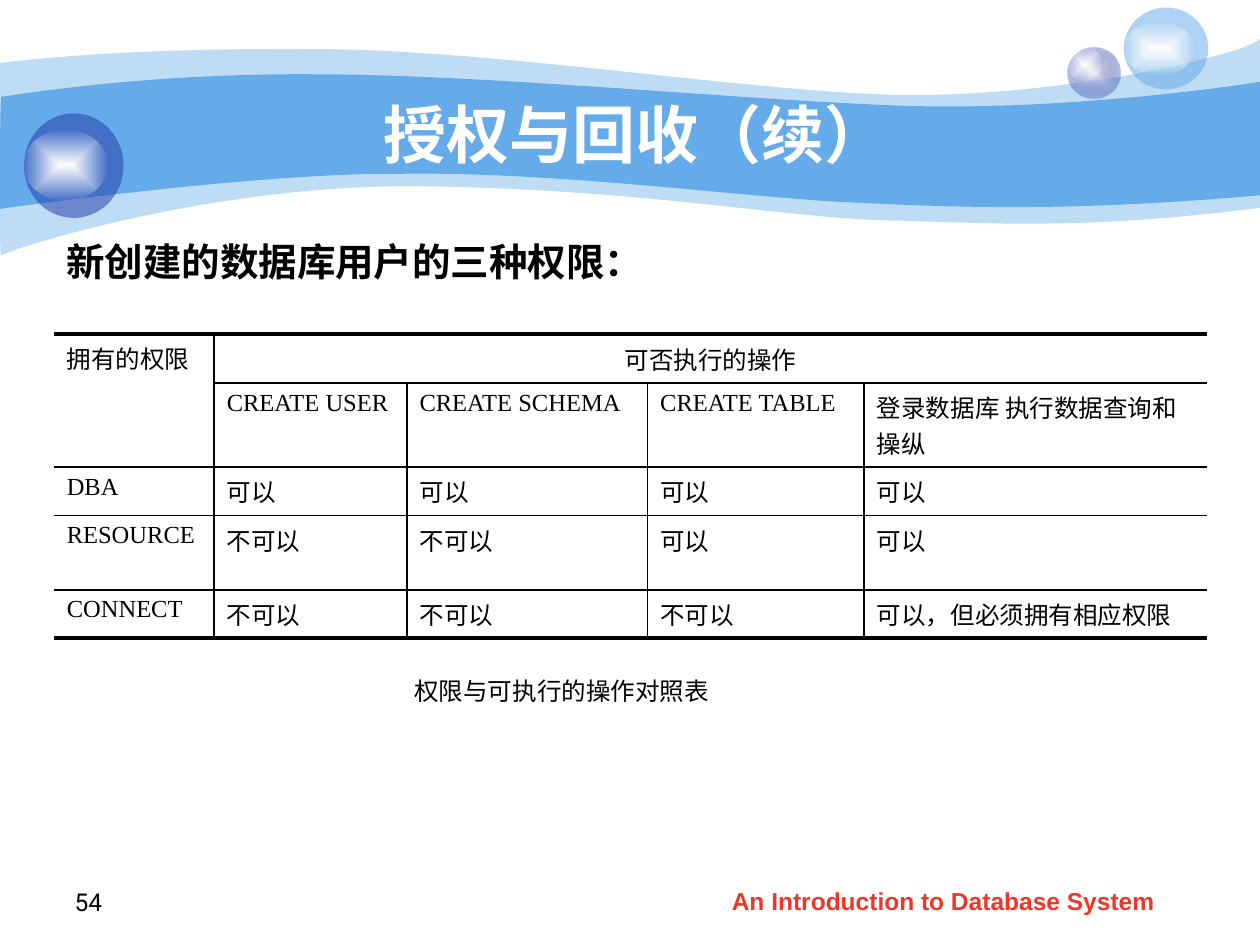
from dataclasses import dataclass

from lxml.etree import SubElement
from pptx import Presentation
from pptx.dml.color import RGBColor
from pptx.enum.shapes import MSO_SHAPE
from pptx.enum.text import MSO_ANCHOR, MSO_AUTO_SIZE, PP_ALIGN
from pptx.oxml.ns import qn
from pptx.util import Emu, Pt

EMU_PER_PX = 9144


@dataclass(frozen=True)
class Theme:
    """Colours, fonts and point sizes of the slide."""

    sky: str = "65AAE9"
    navy: str = "233DA9"
    mist: str = "E1E2ED"
    white: str = "FFFFFF"
    ink: str = "000000"
    red: str = "F03628"
    sans: str = "Arial"
    serif: str = "Times New Roman"
    number_font: str = "Roboto"
    title: int = 36
    heading: int = 22
    body: int = 14
    rule: float = 1
    heavy_rule: float = 2.25


THEME = Theme()

OUTER_WAVE = (
    (0, 50),
    [
        [(24, 47), (107, 38), (247, 39)],
        [(386, 39), (575, 70), (699, 75)],
        [(822, 80), (980, 47), (1000, 31)],
        [(1000, 165)],
        [(858, 183), (787, 177), (705, 175)],
        [(622, 173), (515, 151), (343, 148)],
        [(172, 144), (4, 199), (1, 203)],
        [(-1, 208), (0, 75), (0, 50)],
    ],
)
INNER_WAVE = (
    (1, 77),
    [
        [(2, 77), (110, 58), (248, 59)],
        [(386, 59), (595, 80), (718, 84)],
        [(841, 88), (976, 69), (1000, 65)],
        [(1000, 155)],
        [(853, 168), (765, 165), (682, 161)],
        [(599, 158), (447, 136), (317, 138)],
        [(203, 137), (-2, 166), (-1, 166)],
        [(0, 166), (0, 77), (1, 77)],
    ],
)

COLUMN_WIDTHS = [127, 153, 191, 172, 272]
ROW_HEIGHTS = [39, 55, 37, 59, 37]
PERMISSIONS = [
    ["拥有的权限", "可否执行的操作", "", "", ""],
    ["", "CREATE USER", "CREATE SCHEMA", "CREATE TABLE", "登录数据库 执行数据查询和操纵"],
    ["DBA", "可以", "可以", "可以", "可以"],
    ["RESOURCE", "不可以", "不可以", "可以", "可以"],
    ["CONNECT", "不可以", "不可以", "不可以", "可以，但必须拥有相应权限"],
]


def px(length):
    """Turn px into EMU."""
    return Emu(length * EMU_PER_PX)


def add_color(parent, color, alpha=100):
    """Append a colour with its opacity in percent."""
    tint = SubElement(parent, qn("a:srgbClr"), val=color)
    if alpha < 100:
        SubElement(tint, qn("a:alpha"), val=str(alpha * 1000))


def paint(shape, color, alpha=100):
    """Give a shape a plain fill without line or shadow."""
    shape.shadow.inherit = False
    shape.line.fill.background()
    shape.fill.solid()
    shape.fill.fore_color.rgb = RGBColor.from_string(color)
    if alpha < 100:
        tint = shape.fill._xPr.find(qn("a:solidFill"))[0]
        SubElement(tint, qn("a:alpha"), val=str(alpha * 1000))


def paint_glow(shape, center, edge, edge_alpha):
    """Give a shape a gradient that runs from its centre to its edge."""
    paint(shape, center)
    shape.fill.gradient()
    gradient = shape.fill._xPr.find(qn("a:gradFill"))
    for child in list(gradient):
        gradient.remove(child)
    stops = SubElement(gradient, qn("a:gsLst"))
    for position, color, alpha in ((0, center, 100), (100000, edge, edge_alpha)):
        add_color(SubElement(stops, qn("a:gs"), pos=str(position)), color, alpha)
    way = SubElement(gradient, qn("a:path"), path="shape")
    SubElement(way, qn("a:fillToRect"), l="50000", t="50000", r="50000", b="50000")


def add_wave(slide, wave, alpha=100):
    """Draw one wave of the title band with cubic curves."""
    start, segments = wave
    outline = slide.shapes.build_freeform(*start, scale=EMU_PER_PX)
    outline.add_line_segments([point for part in segments for point in part], close=True)
    band = outline.convert_to_shape()
    lines = iter(list(band._element.iter(qn("a:lnTo"))))
    for part in segments:
        first, *others = [next(lines) for _ in part]
        if others:
            first.tag = qn("a:cubicBezTo")
        for line in others:
            first.append(line[0])
            line.getparent().remove(line)
    paint(band, THEME.sky, alpha)


def add_bubble(slide, ball_box, shine_box, color, alpha, center=None):
    """Draw a ball with a shine on it."""
    bubble = slide.shapes.add_group_shape()
    ball, shine = (
        bubble.shapes.add_shape(MSO_SHAPE.OVAL, *map(px, box))
        for box in (ball_box, shine_box)
    )
    if center:
        paint_glow(ball, center, color, alpha)
    else:
        paint(ball, color, alpha)
    paint_glow(shine, THEME.white, THEME.white, 0)


def write(frame, text, size, font, color, bold=False, align=PP_ALIGN.LEFT):
    """Put one styled run in a text frame."""
    paragraph = frame.paragraphs[0]
    paragraph.alignment = align
    run = paragraph.add_run()
    run.text = text
    run.font.size = Pt(size)
    run.font.name = font
    run.font.bold = bold
    run.font.color.rgb = RGBColor.from_string(color)


def add_text(slide, box, text, size, font, color, bold=False,
             align=PP_ALIGN.LEFT, anchor=MSO_ANCHOR.TOP, wrap=True, grow=False):
    """Add a text box with one run."""
    frame = slide.shapes.add_textbox(*map(px, box)).text_frame
    frame.word_wrap = wrap
    frame.vertical_anchor = anchor
    frame.auto_size = MSO_AUTO_SIZE.SHAPE_TO_FIT_TEXT if grow else MSO_AUTO_SIZE.NONE
    write(frame, text, size, font, color, bold, align)


def add_border(cell, side, width):
    """Set one border of a cell, where width 0 means none."""
    border = SubElement(cell._tc.get_or_add_tcPr(), qn(f"a:ln{side}"), w=str(Pt(width)))
    if width:
        add_color(SubElement(border, qn("a:solidFill")), THEME.ink)
    else:
        SubElement(border, qn("a:noFill"))


def horizontal_rule(edge, column):
    """Return the width of the rule above row number edge."""
    if edge in (0, len(ROW_HEIGHTS)):
        return THEME.heavy_rule
    return 0 if (edge, column) == (1, 0) else THEME.rule


def vertical_rule(edge, row):
    """Return the width of the rule left of column number edge."""
    if edge in (0, len(COLUMN_WIDTHS)) or (row == 0 and edge > 1):
        return 0
    return THEME.rule


def add_permission_table(slide):
    """Add the table of permissions and operations."""
    size = sum(COLUMN_WIDTHS), sum(ROW_HEIGHTS)
    table = slide.shapes.add_table(
        len(ROW_HEIGHTS), len(COLUMN_WIDTHS), *map(px, (43, 265, *size))).table
    table.first_row = table.horz_banding = False
    for column, width in zip(table.columns, COLUMN_WIDTHS):
        column.width = px(width)
    for row, height in zip(table.rows, ROW_HEIGHTS):
        row.height = px(height)
    for r, labels in enumerate(PERMISSIONS):
        for c, label in enumerate(labels):
            cell = table.cell(r, c)
            add_border(cell, "L", vertical_rule(c, r))
            add_border(cell, "R", vertical_rule(c + 1, r))
            add_border(cell, "T", horizontal_rule(r, c))
            add_border(cell, "B", horizontal_rule(r + 1, c))
            cell.fill.background()
            if label:
                spanning = (r, c) == (0, 1)
                cell.vertical_anchor = MSO_ANCHOR.MIDDLE if spanning else MSO_ANCHOR.TOP
                write(cell.text_frame, label, THEME.body, THEME.serif, THEME.ink,
                      align=PP_ALIGN.CENTER if spanning else PP_ALIGN.LEFT)
    table.cell(0, 0).merge(table.cell(1, 0))
    table.cell(0, 1).merge(table.cell(0, 4))


def main():
    """Build the slide and save it."""
    deck = Presentation()
    deck.slide_width, deck.slide_height = px(1000), px(750)
    slide = deck.slides.add_slide(deck.slide_layouts[6])
    add_wave(slide, OUTER_WAVE, 41)
    add_wave(slide, INNER_WAVE)
    add_bubble(slide, (847, 38, 42, 40), (847, 38, 28, 27), THEME.navy, 31, THEME.mist)
    add_bubble(slide, (892, 6, 67, 65), (892, 17, 56, 43), THEME.sky, 53)
    add_bubble(slide, (19, 90, 79, 83), (19, 103, 66, 56), THEME.navy, 53)
    add_text(slide, (571, 698, 394, 35), "An Introduction to Database System",
             THEME.body, THEME.sans, THEME.red, bold=True)
    add_text(slide, (27, 682, 64, 50), "54", THEME.body, THEME.number_font, THEME.ink,
             align=PP_ALIGN.RIGHT, anchor=MSO_ANCHOR.BOTTOM)
    add_text(slide, (100, 75, 808, 62), "授权与回收（续）", THEME.title, THEME.sans,
             THEME.white, bold=True, align=PP_ALIGN.CENTER, anchor=MSO_ANCHOR.MIDDLE)
    add_permission_table(slide)
    add_text(slide, (319, 532, 258, 33), "权限与可执行的操作对照表", THEME.body,
             THEME.serif, THEME.ink, anchor=MSO_ANCHOR.MIDDLE, wrap=False, grow=True)
    add_text(slide, (43, 184, 534, 47), "新创建的数据库用户的三种权限：", THEME.heading,
             THEME.serif, THEME.ink, bold=True, grow=True)
    deck.save("out.pptx")


if __name__ == "__main__":
    main()
